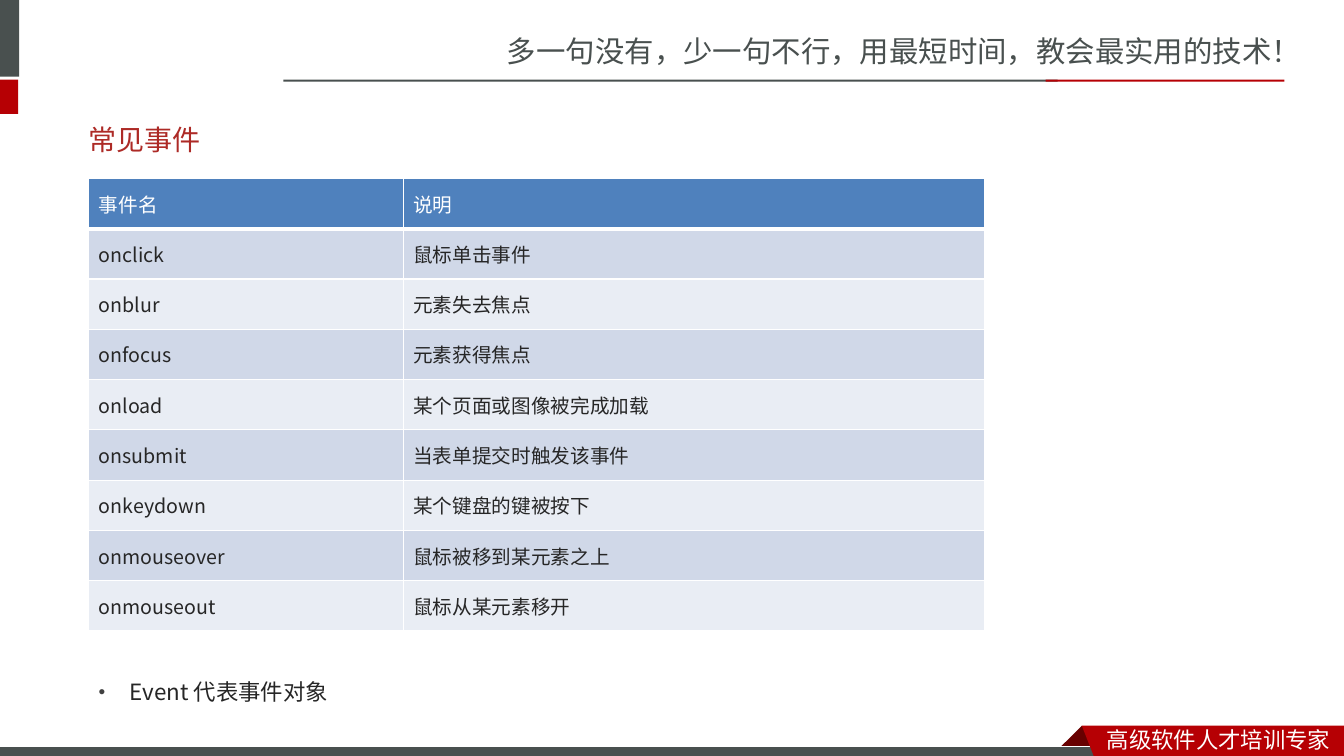
from dataclasses import dataclass
from typing import Any, NamedTuple

from lxml import etree
from pptx import Presentation, util as u
from pptx.dml import color
from pptx.enum import shapes, text
from pptx.oxml import ns


@dataclass(frozen=True)
class Theme:
    gray: str = "49504F"
    red: str = "B60004"
    dark_red: str = "680000"
    title_red: str = "AD2A26"
    white: str = "FFFFFF"
    ink: str = "262626"
    bullet: str = "404040"
    table_header: str = "4F81BD"
    table_bands: tuple[str, str] = ("D0D8E8", "E9EDF4")
    chinese: str = "Noto Sans CJK SC"
    japanese: str = "Noto Sans CJK JP"
    latin: str = "Arial"
    slogan_size: int = 21
    title_size: int = 20
    body_size: int = 16
    table_size: int = 14


THEME = Theme()


class Box(NamedTuple):
    left: float
    top: float
    width: float
    height: float


class Bar(NamedTuple):
    box: Box
    fill: str
    line: str | None = None


class Ribbon(NamedTuple):
    points: list[tuple[float, float]]
    fill: str


class Label(NamedTuple):
    words: str
    box: Box
    size: int
    tint: str
    font: str = THEME.chinese
    wrap: bool = True
    anchor: Any = text.MSO_ANCHOR.TOP


HEADER_BARS = [
    Bar(Box(-0.06, 0, 0.25, 0.76), THEME.gray),
    Bar(Box(-0.06, 0.79, 0.24, 0.34), THEME.red),
    Bar(Box(2.81, 0.79, 7.68, 0.02), THEME.gray),
    Bar(Box(10.37, 0.79, 2.37, 0.02), THEME.red),
]
FOOTER_BAR = Bar(Box(-0.01, 7.41, 11, 0.12), THEME.gray, THEME.white)
RIBBON_FOLD = Ribbon(
    [(10.73, 7.2), (10.95, 7.42), (10.94, 7.43), (10.52, 7.43), (10.51, 7.42)],
    THEME.dark_red)
RIBBON_FRONT = Ribbon(
    [(10.73, 7.2), (13.33, 7.2), (13.33, 7.54), (10.86, 7.53)], THEME.red)

SLOGAN = Label("多一句没有，少一句不行，用最短时间，教会最实用的技术！",
               Box(4.93, 0.28, 8.41, 0.47), THEME.slogan_size, THEME.gray, wrap=False)
MOTTO = Label("高级软件人才培训专家", Box(10.88, 7.15, 2.45, 0.37),
              THEME.body_size, THEME.white, wrap=False)
TITLE = Label("常见事件", Box(0.78, 1.1, 11.72, 0.57), THEME.title_size,
              THEME.title_red, THEME.latin, anchor=text.MSO_ANCHOR.MIDDLE)
NOTE = Label("Event 代表事件对象", Box(0.88, 6.55, 7.2, 0.48),
             THEME.body_size, THEME.ink)

TABLE_BOX = Box(0.88, 1.77, 8.89, 4.49)
COLUMN_WIDTHS = (3.12, 5.77)
EVENTS = [
    ("事件名", "说明"),
    ("onclick", "鼠标单击事件"),
    ("onblur", "元素失去焦点"),
    ("onfocus", "元素获得焦点"),
    ("onload", "某个页面或图像被完成加载"),
    ("onsubmit", "当表单提交时触发该事件"),
    ("onkeydown", "某个键盘的键被按下"),
    ("onmouseover", "鼠标被移到某元素之上"),
    ("onmouseout", "鼠标从某元素移开"),
]


def rgb(value: str) -> color.RGBColor:
    return color.RGBColor.from_string(value)


def inches(values) -> list[int]:
    return [u.Inches(value) for value in values]


def apply(target: Any, formats: dict[str, Any]) -> None:
    for name, value in formats.items():
        setattr(target, name, value)


def add_element(parent: Any, tag: str, **attributes: str) -> Any:
    return etree.SubElement(parent, ns.qn(tag), attributes)


def paint(shape: Any, fill: str, line: str | None = None) -> None:
    shape.shadow.inherit = False
    shape.fill.solid()
    shape.fill.fore_color.rgb = rgb(fill)
    if line:
        shape.line.color.rgb = rgb(line)
        shape.line.width = u.Pt(0.75)
    else:
        shape.line.fill.background()


def draw_bar(slide: Any, bar: Bar) -> None:
    shape = slide.shapes.add_shape(shapes.MSO_SHAPE.RECTANGLE, *inches(bar.box))
    paint(shape, bar.fill, bar.line)


def draw_ribbon(slide: Any, ribbon: Ribbon) -> None:
    start, *others = [inches(point) for point in ribbon.points]
    builder = slide.shapes.build_freeform(*start)
    builder.add_line_segments(others, close=True)
    paint(builder.convert_to_shape(), ribbon.fill)


def write(paragraph: Any, words: str, size: int, tint: str, font: str) -> None:
    run = paragraph.add_run()
    run.text = words
    apply(run.font, {"size": u.Pt(size), "name": font, "bold": False})
    run.font.color.rgb = rgb(tint)
    add_element(run.font._element, "a:ea", typeface=font)


def draw_label(slide: Any, label: Label) -> Any:
    frame = slide.shapes.add_textbox(*inches(label.box)).text_frame
    apply(frame, {"word_wrap": label.wrap, "vertical_anchor": label.anchor})
    paragraph = frame.paragraphs[0]
    write(paragraph, label.words, label.size, label.tint, label.font)
    return paragraph


def add_bullet(paragraph: Any) -> None:
    paragraph.line_spacing = 1.5
    properties = paragraph._p.get_or_add_pPr()
    indent = u.Inches(0.31)
    properties.set("marL", str(indent))
    properties.set("indent", str(-indent))
    tint = add_element(properties, "a:buClr")
    add_element(tint, "a:srgbClr", val=THEME.bullet)
    add_element(properties, "a:buSzPct", val="85000")
    add_element(properties, "a:buFont", typeface=THEME.latin)
    add_element(properties, "a:buChar", char="•")


def add_borders(cell: Any, bottom: float) -> None:
    properties = cell._tc.get_or_add_tcPr()
    widths = {"a:lnL": 1, "a:lnR": 1, "a:lnT": 1, "a:lnB": bottom}
    for position, (tag, width) in enumerate(widths.items()):
        border = etree.Element(ns.qn(tag), {"w": str(u.Pt(width))})
        fill = add_element(border, "a:solidFill")
        add_element(fill, "a:srgbClr", val=THEME.white)
        properties.insert(position, border)


def draw_event_table(slide: Any) -> None:
    frame = slide.shapes.add_table(len(EVENTS), len(COLUMN_WIDTHS), *inches(TABLE_BOX))
    table = frame.table
    for column, width in zip(table.columns, COLUMN_WIDTHS):
        column.width = u.Inches(width)
    for row_index, row in enumerate(EVENTS):
        header = row_index == 0
        fill = THEME.table_header if header else THEME.table_bands[(row_index - 1) % 2]
        tint = THEME.white if header else THEME.ink
        font = THEME.chinese if header else THEME.japanese
        for column_index, words in enumerate(row):
            cell = table.cell(row_index, column_index)
            cell.vertical_anchor = text.MSO_ANCHOR.MIDDLE
            cell.fill.solid()
            cell.fill.fore_color.rgb = rgb(fill)
            add_borders(cell, bottom=3 if header else 1)
            write(cell.text_frame.paragraphs[0], words, THEME.table_size, tint, font)


def main() -> None:
    presentation = Presentation()
    apply(presentation, {"slide_width": u.Inches(13.33), "slide_height": u.Inches(7.5)})
    slide = presentation.slides.add_slide(presentation.slide_layouts[6])

    # Header
    draw_label(slide, SLOGAN)
    for bar in HEADER_BARS:
        draw_bar(slide, bar)

    # Footer ribbon
    draw_ribbon(slide, RIBBON_FOLD)
    draw_bar(slide, FOOTER_BAR)
    draw_ribbon(slide, RIBBON_FRONT)
    draw_label(slide, MOTTO)

    # Content
    draw_label(slide, TITLE)
    draw_event_table(slide)
    add_bullet(draw_label(slide, NOTE))

    presentation.save("out.pptx")


if __name__ == "__main__":
    main()
